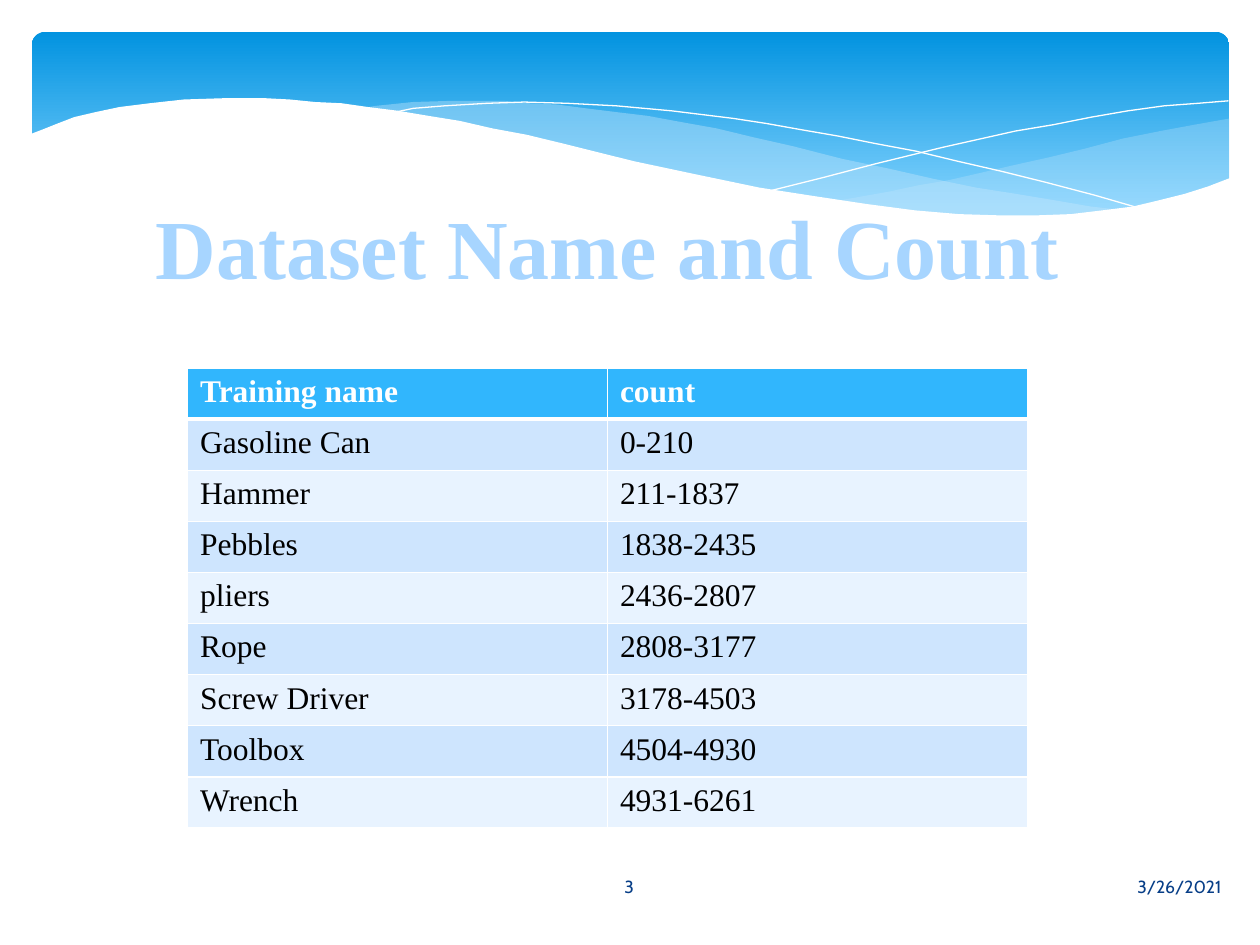
from lxml import etree
from pptx import Presentation
from pptx import util as u
from pptx.dml.color import RGBColor
from pptx.enum import shapes, text
from pptx.oxml import ns

hues = {
    "top": "0293E0", "sky": "83D3FE", "mist": "C6E7FC", "white": "FFFFFF",
    "head": "31B6FD", "odd": "CEE5FE", "even": "E8F3FF",
    "title": "A7D5FF", "navy": "073E87", "black": "000000",
}
serif = "Times New Roman"


def tint(name):
    return RGBColor.from_string(hues[name])


def put(frame, words, font=serif, size=18, hue="black", bold=False,
        align=text.PP_ALIGN.LEFT, anchor=text.MSO_ANCHOR.TOP, wrap=True):
    frame.word_wrap = wrap
    frame.vertical_anchor = anchor
    para = frame.paragraphs[0]
    para.alignment = align
    run = para.add_run()
    run.text = words
    run.font.name = font
    run.font.size = u.Pt(size)
    run.font.bold = bold
    run.font.color.rgb = tint(hue)


deck = Presentation()
deck.slide_width = u.Cm(25.4)
deck.slide_height = u.Cm(19.05)
slide = deck.slides.add_slide(deck.slide_layouts[6])
items = slide.shapes

band = items.add_shape(shapes.MSO_SHAPE.ROUNDED_RECTANGLE,
                       u.Cm(0.64), u.Cm(0.64), u.Cm(24.14), u.Cm(3.96))
band.adjustments[0] = 0.07
band.shadow.inherit = False
band.line.fill.background()
band.fill.gradient()
band.fill.gradient_angle = 270
for stop, hue, place in zip(band.fill.gradient_stops, ("top", "sky"), (0, 0.9)):
    stop.color.rgb = tint(hue)
    stop.position = place

right = [(976, 94), (948, 99), (921, 104), (891, 110), (861, 118), (832, 125),
         (805, 131), (779, 137), (753, 143), (729, 147), (706, 152), (661, 160),
         (691, 164), (719, 167), (745, 169), (769, 171), (792, 172), (824, 172),
         (854, 170), (881, 167), (905, 163), (928, 158), (949, 152), (963, 147),
         (976, 141)]
left = [(893, 167), (866, 164), (837, 159), (807, 154), (775, 149), (741, 142),
        (706, 134), (668, 126), (629, 116), (598, 109), (569, 102), (541, 97),
        (514, 92), (489, 89), (465, 86), (442, 83), (420, 82), (399, 80),
        (361, 80), (328, 81), (299, 84), (286, 86), (323, 90), (362, 97),
        (404, 106), (449, 116), (491, 126), (530, 135), (566, 143), (601, 150),
        (634, 156), (665, 161), (695, 165), (722, 168), (748, 170), (773, 172),
        (807, 173), (838, 172), (867, 170)]
fall = [(309, 90), (328, 86), (353, 84), (387, 82), (416, 81), (450, 82),
        (489, 84), (533, 88), (582, 94), (608, 98), (636, 103), (665, 108),
        (695, 114), (727, 120), (760, 128), (795, 136), (831, 145), (869, 155),
        (907, 166)]
rise = [(613, 151), (653, 141), (695, 130), (748, 117), (806, 104), (836, 99),
        (866, 93), (895, 88), (924, 84), (951, 82), (975, 80)]
cover = [(977, 141), (959, 148), (940, 154), (920, 159), (899, 164), (875, 167),
         (850, 170), (823, 171), (793, 171), (761, 170), (726, 167), (688, 162),
         (648, 156), (603, 149), (555, 139), (503, 128), (447, 114), (418, 107),
         (391, 102), (365, 96), (340, 92), (316, 88), (292, 85), (271, 82),
         (250, 81), (230, 79), (211, 78), (177, 78), (146, 79), (119, 82),
         (95, 85), (76, 89), (59, 93), (46, 98), (36, 102), (23, 107),
         (23, 224), (977, 224)]

for dots, hue, alpha in ((right, "mist", 29), (left, "mist", 40),
                         (fall, None, 0), (rise, None, 0),
                         (cover, "white", 100)):
    pen = items.build_freeform(*dots[0], scale=u.Cm(0.0254))
    pen.add_line_segments(dots[1:], close=hue is not None)
    wave = pen.convert_to_shape()
    wave.shadow.inherit = False
    if hue:
        wave.fill.solid()
        wave.fill.fore_color.rgb = tint(hue)
        wave.line.fill.background()
        shade = wave.fill._xPr.find(".//" + ns.qn("a:srgbClr"))
        etree.SubElement(shade, ns.qn("a:alpha"), val=str(alpha * 1000))
    else:
        wave.fill.background()
        wave.line.color.rgb = tint("white")
        wave.line.width = u.Pt(0)

rows = [("Training name", "count"), ("Gasoline Can", "0-210"),
        ("Hammer", "211-1837"), ("Pebbles", "1838-2435"),
        ("pliers", "2436-2807"), ("Rope", "2808-3177"),
        ("Screw Driver", "3178-4503"), ("Toolbox", "4504-4930"),
        ("Wrench", "4931-6261")]
grid = items.add_table(len(rows), 2, u.Cm(3.78), u.Cm(7.42),
                       u.Cm(16.93), u.Cm(9.27)).table
for r, row in enumerate(rows):
    for c, words in enumerate(row):
        cell = grid.cell(r, c)
        props = cell._tc.get_or_add_tcPr()
        for side in "LRTB":
            heavy = (r, side) in ((0, "B"), (1, "T"))
            edge = etree.SubElement(props, ns.qn("a:ln" + side),
                                    w=str(u.Pt(3 if heavy else 1)))
            paint = etree.SubElement(edge, ns.qn("a:solidFill"))
            etree.SubElement(paint, ns.qn("a:srgbClr"), val=hues["white"])
        cell.fill.solid()
        cell.fill.fore_color.rgb = tint("head" if r == 0 else "odd" if r % 2 else "even")
        put(cell.text_frame, words, hue="black" if r else "white", bold=r == 0)

mid = text.MSO_ANCHOR.MIDDLE
mean = text.PP_ALIGN.CENTER
foot = dict(font="Cabin", size=10, hue="navy", anchor=mid)
for words, area, style in (
    ("Dataset Name and Count", (2.79, 3.81, 18.9, 2.31),
     dict(size=48, hue="title", bold=True, align=mean, wrap=False)),
    ("3/26/2021", (14.35, 17.37, 10.52, 1.02),
     dict(foot, align=text.PP_ALIGN.RIGHT)),
    ("3", (11.07, 17.37, 3.23, 1.02), dict(foot, align=mean)),
):
    box = items.add_textbox(*map(u.Cm, area))
    put(box.text_frame, words, **style)

deck.save("out.pptx")
